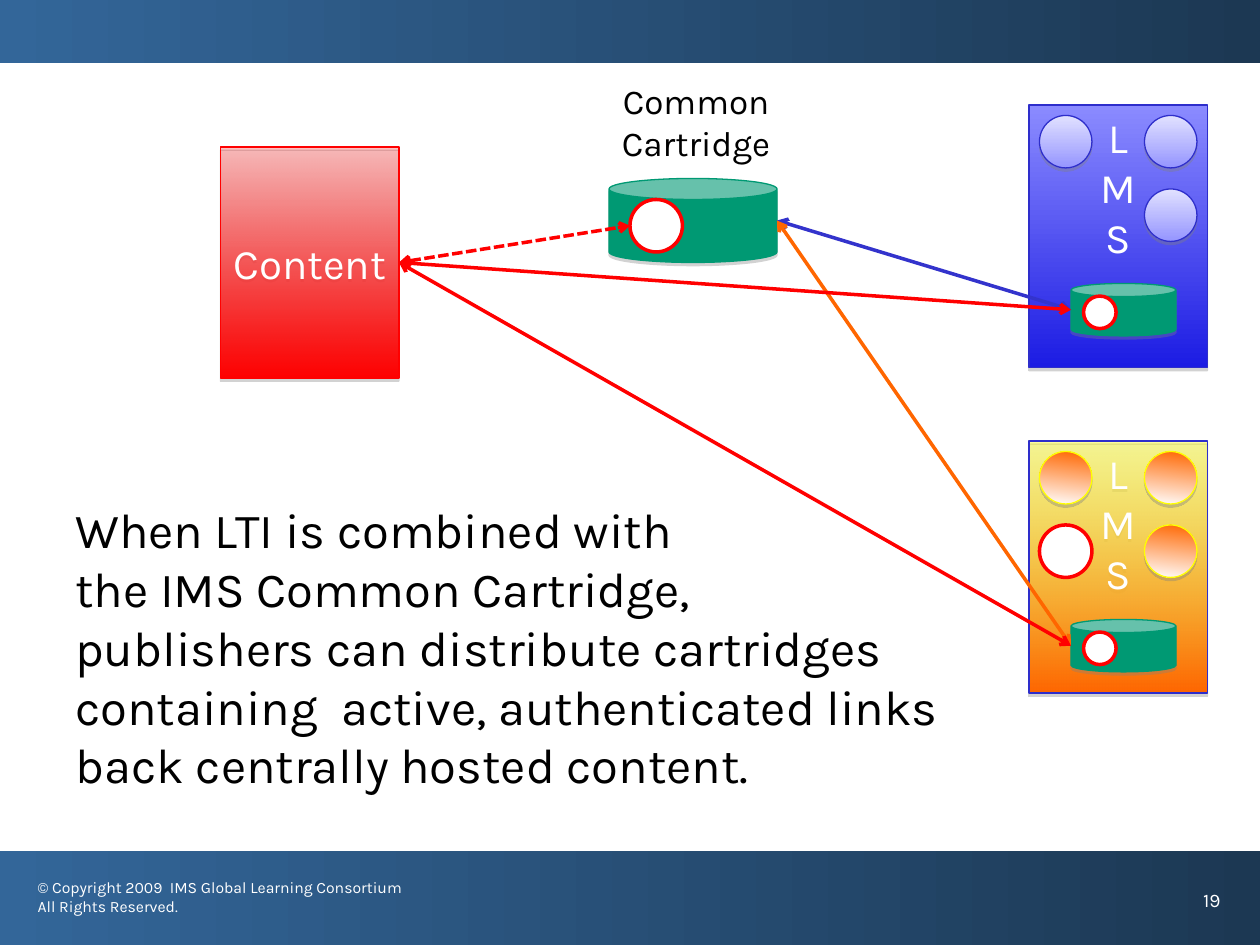
from lxml import etree
from pptx import Presentation
from pptx import util as u
from pptx.dml.color import RGBColor
from pptx.enum import dml, shapes, text
from pptx.oxml.ns import qn

rgb = RGBColor.from_string
RECT, OVAL, CAN = (shapes.MSO_SHAPE.RECTANGLE, shapes.MSO_SHAPE.OVAL,
                   shapes.MSO_SHAPE.CAN)
LEFT, CENTER = text.PP_ALIGN.LEFT, text.PP_ALIGN.CENTER
TOP, MIDDLE = text.MSO_ANCHOR.TOP, text.MSO_ANCHOR.MIDDLE
WHITE, BLACK, RED, GREEN = "FFFFFF", "000000", "FF0000", "009973"
BLUE, ORANGE, YELLOW = "2E2ECB", "FF6600", "FFFF00"

deck = Presentation()
deck.slide_width, deck.slide_height = u.Inches(10), u.Inches(7.5)
slide = deck.slides.add_slide(deck.slide_layouts[6])

# The slide is a grid of 120 columns and 90 rows
cell = deck.slide_width / 120


def draw(kind, box, colors, edge=None, width=0.75, angle=270, alpha=100, shade=0):
    """One colour gives a solid fill, two give a gradient."""
    shape = slide.shapes.add_shape(kind, *[round(n * cell) for n in box])
    shape.shadow.inherit = False
    if len(colors) == 1:
        shape.fill.solid()
        shape.fill.fore_color.rgb = rgb(colors[0])
    else:
        shape.fill.gradient()
        shape.fill.gradient_angle = angle
        for stop, color, place in zip(shape.fill.gradient_stops, colors, (0, 1)):
            stop.color.rgb = rgb(color)
            stop.position = place
    if alpha < 100:
        first = shape._element.spPr.find(".//" + qn("a:srgbClr"))
        etree.SubElement(first, qn("a:alpha"), val=str(alpha * 1000))
    if edge:
        shape.line.color.rgb = rgb(edge)
        shape.line.width = u.Pt(width)
    else:
        shape.line.fill.background()
    if shade:
        effects = shape._element.spPr.find(qn("a:effectLst"))
        cast = etree.SubElement(effects, qn("a:outerShdw"), blurRad="0",
                                dist=str(u.Pt(1.8)), dir="5400000", rotWithShape="0")
        tint = etree.SubElement(cast, qn("a:srgbClr"), val="808080")
        etree.SubElement(tint, qn("a:alpha"), val=str(shade * 1000))
    return shape


def write(frame, lines, size, color, align=LEFT, anchor=TOP, wrap=True):
    """Each line is a paragraph; a list inside it is split by line breaks."""
    frame.word_wrap = wrap
    frame.vertical_anchor = anchor
    for i, line in enumerate(lines):
        paragraph = frame.paragraphs[0] if i == 0 else frame.add_paragraph()
        paragraph.alignment = align
        for j, words in enumerate(line if isinstance(line, list) else [line]):
            if j:
                paragraph.add_line_break()
            run = paragraph.add_run()
            run.text = words
            run.font.name, run.font.size = "Karla", u.Pt(size)
            run.font.color.rgb = rgb(color)


# Header and footer bands
for band in ((0, 81.1, 120, 8.9), (0, 0, 120, 6)):
    draw(RECT, band, ("1C3853", "336699"), angle=180)

# Content server
content = draw(RECT, (21, 14, 17, 22), (RED, RED), RED, alpha=24, shade=35)
write(content.text_frame, ["Content"], 24, WHITE, CENTER, MIDDLE)

# Learning systems: top row, height, fill, opacity of its top, tools, tool look
systems = [
    (10, 25, ("8B8BFF", "1C1CE3"), 100, [(99, 1), (109, 1), (109, 8)],
     ("E1E1FF", "9595FF"), BLUE, 270),
    (42, 24, (YELLOW, ORANGE), 38, [(99, 1), (109, 1), (109, 8)],
     (ORANGE, WHITE), YELLOW, 263),
]
cartridges = [(58, 17, 16, 8, 60, 19, 5)]
for top, height, fill, alpha, tools, tool_fill, tool_edge, tool_angle in systems:
    system = draw(RECT, (98, top, 17, height), fill, BLUE, alpha=alpha, shade=35)
    write(system.text_frame, "LMS", 24, WHITE, CENTER)
    for column, row in tools:
        draw(OVAL, (column, top + row, 5, 5), tool_fill, tool_edge,
             angle=tool_angle, shade=38)
    cartridges.append((102, top + 17, 10, 5, 103.2, top + 18.2, 3.1))

# Linked tool in the second system
draw(OVAL, (99, 50, 5, 5), [WHITE], RED, 2)

# Cartridges, each with its link
for left, top, width, height, link_left, link_top, link in cartridges:
    draw(CAN, (left, top, width, height), [GREEN], GREEN, shade=35)
    draw(OVAL, (link_left, link_top, link, link), [WHITE], RED, 2)

# Arrows between content, cartridge and systems
hosted, packed, first_lms, second_lms = (38, 25), (74, 21), (102, 29.5), (102, 61.5)
for start, end, color, dashed in [
    (hosted, (60, 21.5), RED, True),
    (packed, first_lms, "3333CC", False),
    (packed, second_lms, ORANGE, False),
    (hosted, first_lms, RED, False),
    (hosted, second_lms, RED, False),
]:
    arrow = slide.shapes.add_connector(
        shapes.MSO_CONNECTOR.STRAIGHT, *[round(n * cell) for n in start + end])
    arrow.line.color.rgb = rgb(color)
    arrow.line.width = u.Pt(2)
    if dashed:
        arrow.line.dash_style = dml.MSO_LINE.SQUARE_DOT
    outline = arrow.line._get_or_add_ln()
    for tip in ("a:headEnd", "a:tailEnd"):
        etree.SubElement(outline, qn(tip), type="arrow")
    etree.SubElement(arrow._element.spPr, qn("a:effectLst"))

# Labels, message and footer text
message = [
    "When LTI is combined with",
    ["the IMS Common Cartridge, ",
     "publishers can distribute cartridges containing  active, "
     "authenticated links back centrally hosted content."],
]
notice = ["© Copyright 2009  IMS Global Learning Consortium", "All Rights Reserved."]
for box, lines, size, color, align, wrap in [
    ((57.7, 7, 17.2, 9.2), ["Common", "Cartridge"], 20, BLACK, CENTER, False),
    ((6, 47, 87, 29.3), message, 28, BLACK, LEFT, True),
    ((2.4, 83, 37.6, 6), notice, 9, WHITE, LEFT, True),
    ((113.4, 84, 6.6, 6), ["19"], 11, WHITE, LEFT, True),
]:
    label = slide.shapes.add_textbox(*[round(n * cell) for n in box])
    write(label.text_frame, lines, size, color, align, wrap=wrap)

deck.save("out.pptx")
